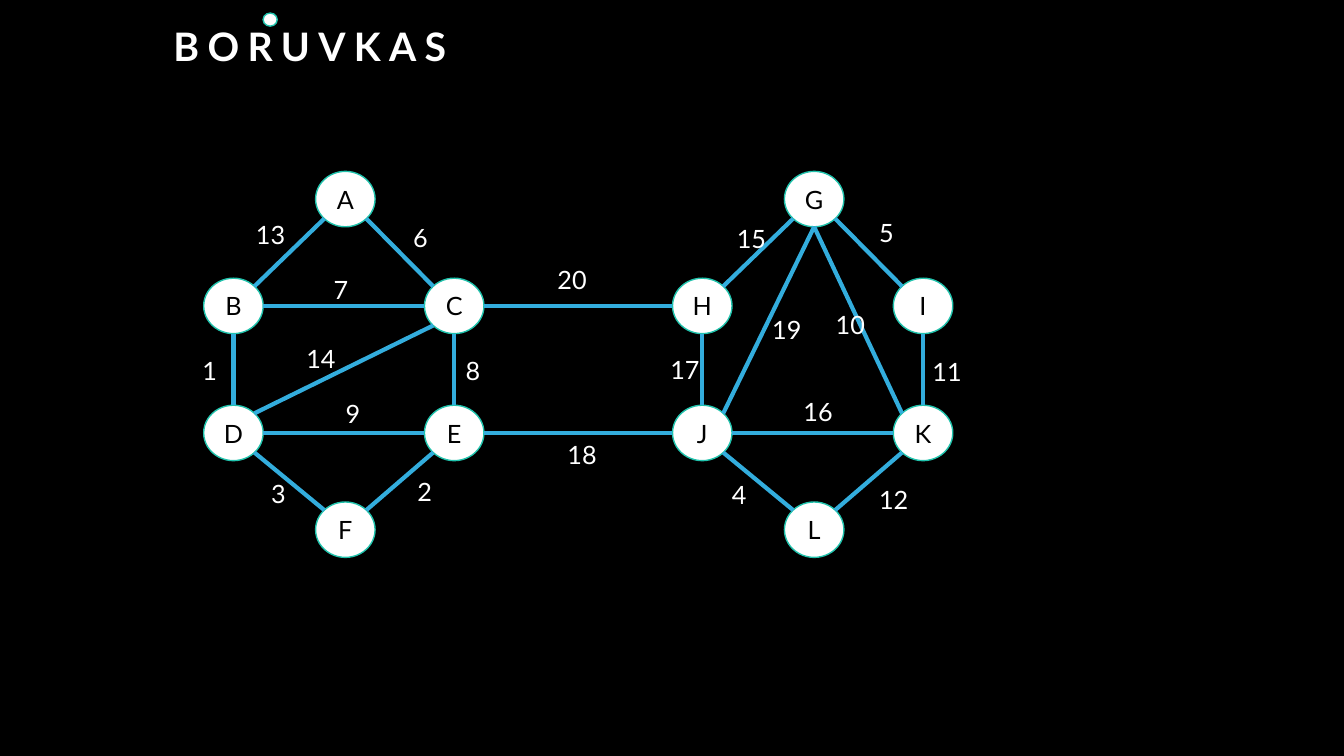
"""Build a slide showing the weighted graph used for Boruvka's algorithm."""
from dataclasses import dataclass
from enum import Enum
from math import sqrt

from lxml.etree import SubElement
from pptx import Presentation
from pptx.dml.color import RGBColor
from pptx.enum.shapes import MSO_CONNECTOR, MSO_SHAPE
from pptx.enum.text import MSO_ANCHOR, MSO_AUTO_SIZE, PP_ALIGN
from pptx.oxml.ns import qn
from pptx.shapes.autoshape import Shape
from pptx.slide import Slide
from pptx.util import Emu, Pt

EMU_PER_PX = 9144
DIAGONAL = 1 / sqrt(2)


@dataclass(frozen=True)
class Theme:
    font: str = "Lato"
    background: RGBColor = RGBColor(0x00, 0x00, 0x00)
    light: RGBColor = RGBColor(0xFF, 0xFF, 0xFF)
    dark: RGBColor = RGBColor(0x00, 0x00, 0x00)
    outline: RGBColor = RGBColor(0x20, 0xC2, 0xAC)
    edge: RGBColor = RGBColor(0x33, 0xAD, 0xDD)
    title_size: int = 28
    text_size: int = 18
    title_spacing: int = 6
    outline_width: int = 1
    edge_width: int = 3


class Side(Enum):
    TOP = (0, -1)
    BOTTOM = (0, 1)
    LEFT = (-1, 0)
    RIGHT = (1, 0)
    TOP_LEFT = (-DIAGONAL, -DIAGONAL)
    TOP_RIGHT = (DIAGONAL, -DIAGONAL)
    BOTTOM_LEFT = (-DIAGONAL, DIAGONAL)
    BOTTOM_RIGHT = (DIAGONAL, DIAGONAL)


@dataclass(frozen=True)
class Box:
    left: int
    top: int
    width: int
    height: int

    def emu(self) -> tuple[Emu, Emu, Emu, Emu]:
        return px(self.left), px(self.top), px(self.width), px(self.height)

    def point(self, side: Side) -> tuple[Emu, Emu]:
        across, down = side.value
        return (px(self.left + self.width / 2 * (1 + across)),
                px(self.top + self.height / 2 * (1 + down)))


@dataclass(frozen=True)
class Edge:
    start: str
    start_side: Side
    end: str
    end_side: Side
    weight: int
    label_left: int
    label_top: int


THEME = Theme()
NODE_SIZE = (59, 55)
LABEL_SIZE = (82, 40)
HALF_OFFSETS = {"ABCDEF": 0, "GHIJKL": 465}
NODE_CORNERS = [(313, 170), (202, 276), (421, 276), (202, 402), (421, 402), (313, 498)]
NODES = {
    letter: Box(left + offset, top, *NODE_SIZE)
    for letters, offset in HALF_OFFSETS.items()
    for letter, (left, top) in zip(letters, NODE_CORNERS)
}
EDGES = [
    Edge("A", Side.BOTTOM_LEFT, "B", Side.TOP_RIGHT, 13, 244, 213),
    Edge("A", Side.BOTTOM_RIGHT, "C", Side.TOP_LEFT, 6, 400, 216),
    Edge("B", Side.RIGHT, "C", Side.LEFT, 7, 321, 267),
    Edge("B", Side.BOTTOM, "D", Side.TOP, 1, 191, 348),
    Edge("C", Side.BOTTOM, "E", Side.TOP, 8, 452, 348),
    Edge("D", Side.TOP_RIGHT, "C", Side.BOTTOM_LEFT, 14, 294, 336),
    Edge("D", Side.RIGHT, "E", Side.LEFT, 9, 333, 390),
    Edge("D", Side.BOTTOM_RIGHT, "F", Side.TOP_LEFT, 3, 259, 470),
    Edge("E", Side.BOTTOM_LEFT, "F", Side.TOP_RIGHT, 2, 404, 468),
    Edge("C", Side.RIGHT, "H", Side.LEFT, 20, 543, 257),
    Edge("E", Side.RIGHT, "J", Side.LEFT, 18, 553, 431),
    Edge("G", Side.BOTTOM_LEFT, "H", Side.TOP_RIGHT, 15, 721, 217),
    Edge("G", Side.BOTTOM_RIGHT, "I", Side.TOP_LEFT, 5, 862, 211),
    Edge("G", Side.BOTTOM, "J", Side.TOP_RIGHT, 19, 756, 307),
    Edge("G", Side.BOTTOM, "K", Side.TOP_LEFT, 10, 819, 302),
    Edge("H", Side.BOTTOM, "J", Side.TOP, 17, 655, 347),
    Edge("I", Side.BOTTOM, "K", Side.TOP, 11, 915, 349),
    Edge("J", Side.RIGHT, "K", Side.LEFT, 16, 787, 388),
    Edge("J", Side.BOTTOM_RIGHT, "L", Side.TOP_LEFT, 4, 716, 471),
    Edge("K", Side.BOTTOM_LEFT, "L", Side.TOP_RIGHT, 12, 862, 476),
]


def px(value: float) -> Emu:
    return Emu(round(value * EMU_PER_PX))


def write_text(shape: Shape, text: str, size: int, color: RGBColor,
               alignment: PP_ALIGN = PP_ALIGN.LEFT, bold: bool = False) -> None:
    shape.text_frame.text = text
    paragraph = shape.text_frame.paragraphs[0]
    paragraph.alignment = alignment
    paragraph.font.name = THEME.font
    paragraph.font.size = Pt(size)
    paragraph.font.bold = bold
    paragraph.font.color.rgb = color


def add_title(slide: Slide, text: str, box: Box) -> None:
    title = slide.shapes.title
    title.left, title.top, title.width, title.height = box.emu()
    write_text(title, text, THEME.title_size, THEME.light, bold=True)
    title.text_frame.vertical_anchor = MSO_ANCHOR.BOTTOM
    title.text_frame.auto_size = MSO_AUTO_SIZE.NONE
    paragraph = title.text_frame.paragraphs[0]
    paragraph.line_spacing = 1.2
    run_properties = paragraph.runs[0]._r.get_or_add_rPr()
    run_properties.set("spc", str(THEME.title_spacing * 100))


def add_circle(slide: Slide, box: Box) -> Shape:
    circle = slide.shapes.add_shape(MSO_SHAPE.OVAL, *box.emu())
    circle.shadow.inherit = False
    circle.fill.solid()
    circle.fill.fore_color.rgb = THEME.light
    circle.line.color.rgb = THEME.outline
    circle.line.width = Pt(THEME.outline_width)
    return circle


def add_node(slide: Slide, letter: str, box: Box) -> None:
    node = add_circle(slide, box)
    write_text(node, letter, THEME.text_size, THEME.dark, PP_ALIGN.CENTER)
    node.text_frame.vertical_anchor = MSO_ANCHOR.MIDDLE


def add_edge(slide: Slide, edge: Edge) -> None:
    start = NODES[edge.start].point(edge.start_side)
    end = NODES[edge.end].point(edge.end_side)
    connector = slide.shapes.add_connector(MSO_CONNECTOR.STRAIGHT, *start, *end)
    connector.line.color.rgb = THEME.edge
    connector.line.width = Pt(THEME.edge_width)
    SubElement(connector._element.spPr, qn("a:effectLst"))


def add_weight(slide: Slide, edge: Edge) -> None:
    box = Box(edge.label_left, edge.label_top, *LABEL_SIZE)
    label = slide.shapes.add_textbox(*box.emu())
    label.text_frame.word_wrap = True
    label.text_frame.auto_size = MSO_AUTO_SIZE.SHAPE_TO_FIT_TEXT
    write_text(label, str(edge.weight), THEME.text_size, THEME.light)


def main() -> None:
    presentation = Presentation()
    presentation.slide_width, presentation.slide_height = px(1333), px(750)
    slide = presentation.slides.add_slide(presentation.slide_layouts[5])
    slide.background.fill.solid()
    slide.background.fill.fore_color.rgb = THEME.background
    add_title(slide, "BORUVKAS", Box(162, -20, 1010, 94))
    for letter, box in NODES.items():
        add_node(slide, letter, box)
    for edge in EDGES:
        add_edge(slide, edge)
    for edge in EDGES:
        add_weight(slide, edge)
    add_circle(slide, Box(261, 13, 14, 13))
    presentation.save("out.pptx")


if __name__ == "__main__":
    main()
